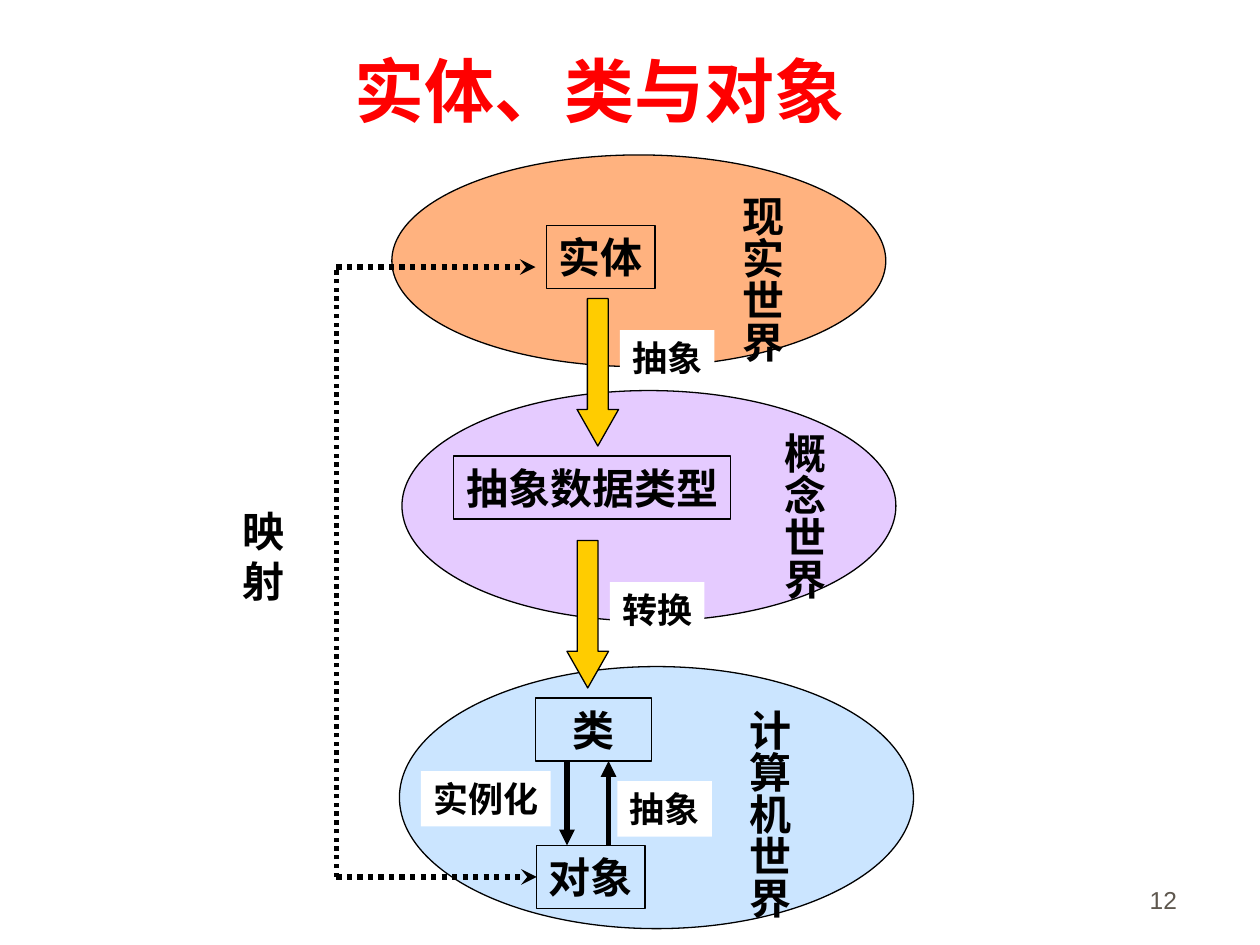
from dataclasses import dataclass

from pptx import Presentation
from pptx import util as u
from pptx.dml.color import RGBColor
from pptx.enum import dml, shapes, text
from pptx.oxml.ns import qn
from pptx.slide import Slide


def color(value):
    return RGBColor.from_string(value)


@dataclass
class Diagram:
    page: Slide
    font: str = "Times New Roman"
    ink: str = "000000"
    arrow_fill: str = "FFCC00"

    def set_text(self, shape, words, size, font=None, ink=None, bold=True,
                 align=text.PP_ALIGN.LEFT, anchor=text.MSO_ANCHOR.TOP, wrap=False):
        frame = shape.text_frame
        frame.word_wrap = wrap
        frame.vertical_anchor = anchor
        frame.margin_left = frame.margin_right = u.Inches(0.1)
        frame.margin_top = frame.margin_bottom = u.Inches(0.05)
        para = frame.paragraphs[0]
        para.alignment = align
        span = para.add_run()
        span.text = words
        span.font.size = u.Pt(size)
        span.font.name = font or self.font
        span.font.bold = bold
        span.font.color.rgb = color(ink or self.ink)

    def title(self, words, *place):
        title = self.page.shapes.title
        title.left, title.top, title.width, title.height = map(u.Inches, place)
        self.set_text(title, words, 40, "Montserrat", "FF0000", wrap=True,
                      align=text.PP_ALIGN.CENTER, anchor=text.MSO_ANCHOR.BOTTOM)

    def shape(self, kind, place, fill=None, outlined=True):
        shape = self.page.shapes.add_shape(kind, *map(u.Inches, place))
        shape.shadow.inherit = False
        if fill:
            shape.fill.solid()
            shape.fill.fore_color.rgb = color(fill)
        else:
            shape.fill.background()
        if outlined:
            shape.line.color.rgb = color(self.ink)
            shape.line.width = u.Pt(0.75)
        else:
            shape.line.fill.background()
        return shape

    def label(self, words, *place, size=24, **style):
        box = self.page.shapes.add_textbox(*map(u.Inches, place))
        self.set_text(box, words, size, **style)
        return box

    def world(self, words, fill, oval_place, label_place):
        """Half-transparent ellipse with its vertical name."""
        oval = self.shape(shapes.MSO_SHAPE.OVAL, oval_place, fill)
        tint = oval._element.spPr.find(qn("a:solidFill")).find(qn("a:srgbClr"))
        tint.append(tint.makeelement(qn("a:alpha"), {"val": "50000"}))
        name = self.label(words, *label_place)
        frame = name.text_frame
        frame.margin_left = frame.margin_right = u.Inches(0.05)
        frame.margin_top = frame.margin_bottom = u.Inches(0.1)
        name._element.txBody.find(qn("a:bodyPr")).set("vert", "eaVert")

    def concept(self, words, left, top, width):
        box = self.shape(shapes.MSO_SHAPE.RECTANGLE, (left, top, width, 0.5))
        self.set_text(box, words, 24, align=text.PP_ALIGN.CENTER)
        return box

    def tag(self, words, left, top, width=0.75):
        box = self.shape(shapes.MSO_SHAPE.RECTANGLE, (left, top, width, 0.44),
                         "FFFFFF", outlined=False)
        self.set_text(box, words, 20)

    def block_arrow(self, left, top):
        arrow = self.shape(shapes.MSO_SHAPE.DOWN_ARROW,
                           (left, top, 0.33, 1.17), self.arrow_fill)
        arrow.adjustments[0] = 0.5
        arrow.adjustments[1] = 0.88

    def line(self, start, end, width=3, dotted=False, tip=None):
        """Straight line; tip is the arrowhead kind at its end."""
        line = self.page.shapes.add_connector(
            shapes.MSO_CONNECTOR.STRAIGHT, *map(u.Inches, start + end))
        line.line.color.rgb = color(self.ink)
        line.line.width = u.Pt(width)
        if dotted:
            line.line.dash_style = dml.MSO_LINE.ROUND_DOT
        properties = line._element.spPr
        if tip:
            outline = properties.find(qn("a:ln"))
            outline.append(outline.makeelement(qn("a:tailEnd"), {"type": tip}))
        properties.append(properties.makeelement(qn("a:effectLst"), {}))
        return line


def main():
    deck = Presentation()
    deck.slide_width, deck.slide_height = u.Inches(10), u.Inches(7.5)
    page = deck.slides.add_slide(deck.slide_layouts[5])
    diagram = Diagram(page)

    diagram.title("实体、类与对象", 0.51, 0.05, 8.5, 1.04)
    diagram.label("12", 7.36, 6.81, 2.08, 0.5, size=14, font="Arial",
                  ink="5E574E", bold=False, wrap=True,
                  align=text.PP_ALIGN.RIGHT, anchor=text.MSO_ANCHOR.BOTTOM)

    diagram.world("计算机世界", "99CCFF", (3.17, 5.29, 4.08, 2.08), (5.75, 5.53, 0.6, 1.77))
    diagram.world("概念世界", "CC99FF", (3.19, 3.1, 3.92, 1.83), (6.03, 3.33, 0.6, 1.44))
    diagram.world("现实世界", "FF6600", (3.11, 1.23, 3.92, 1.68), (5.7, 1.45, 0.6, 1.44))

    diagram.concept("实体", 4.34, 1.79, 0.86)
    diagram.concept("抽象数据类型", 3.6, 3.62, 2.2)
    diagram.concept("类", 4.25, 5.54, 0.92)
    object_box = diagram.concept("对象", 4.26, 6.71, 0.86)

    diagram.block_arrow(4.58, 2.37)
    diagram.tag("抽象", 4.92, 2.62)
    diagram.block_arrow(4.5, 4.29)
    diagram.tag("转换", 4.84, 4.62)

    class_bottom, object_top = 6.04, 6.71
    diagram.line((4.83, object_top), (4.83, class_bottom), tip="triangle")
    diagram.tag("抽象", 4.9, 6.2)
    diagram.line((4.5, class_bottom), (4.5, object_top), tip="triangle")
    diagram.tag("实例化", 3.34, 6.12, 1.03)

    spine, entity_y, object_y = 2.67, 2.12, 6.96
    to_object = diagram.line((spine, object_y), (4.26, object_y), dotted=True, tip="stealth")
    to_object.end_connect(object_box, 1)
    diagram.line((spine, object_y), (spine, entity_y), width=2.5, dotted=True)
    diagram.line((spine, entity_y), (4.25, entity_y), dotted=True, tip="stealth")
    diagram.label("映射", 1.83, 3.96, 0.86, 0.5)

    deck.save("out.pptx")


if __name__ == "__main__":
    main()
